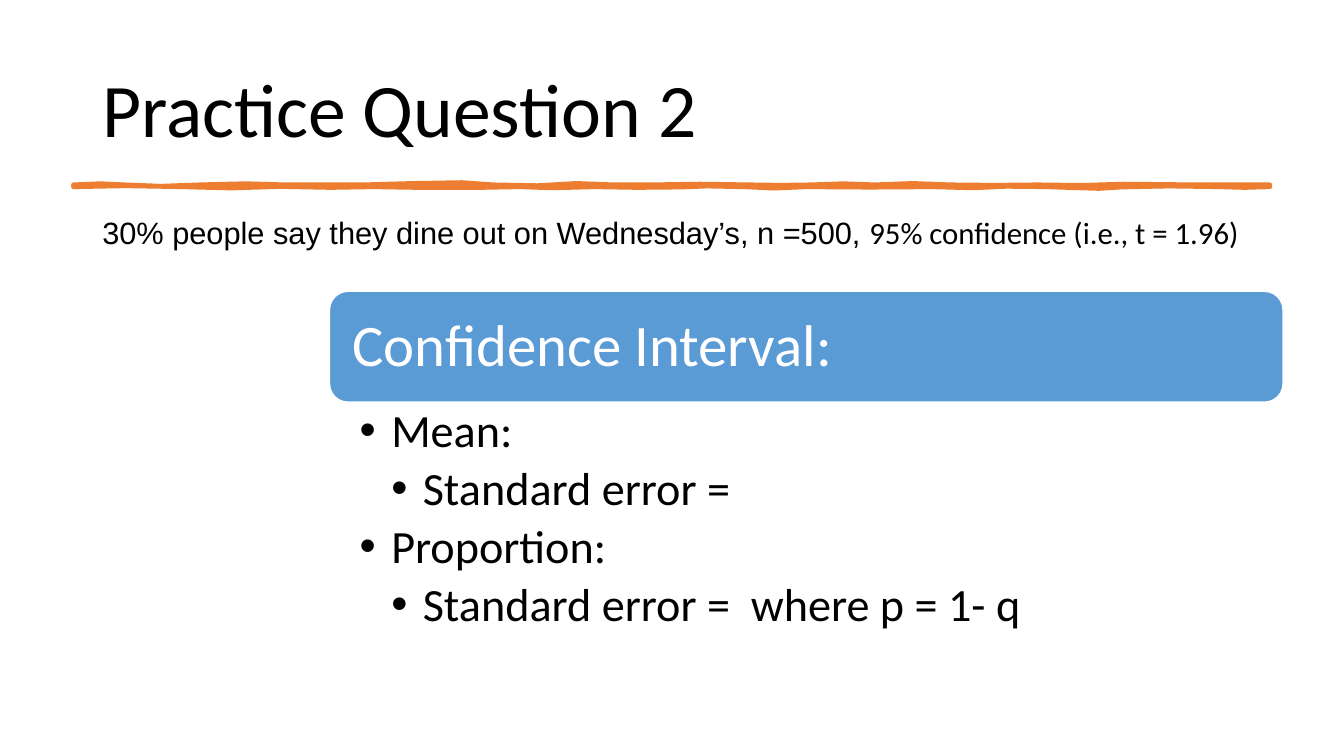
from dataclasses import dataclass

from lxml.etree import SubElement
from pptx import Presentation
from pptx.dml.color import RGBColor
from pptx.enum.shapes import MSO_SHAPE
from pptx.enum.text import MSO_ANCHOR, PP_ALIGN
from pptx.oxml.ns import qn
from pptx.util import Pt


@dataclass(frozen=True)
class Theme:
    black: RGBColor = RGBColor(0x00, 0x00, 0x00)
    white: RGBColor = RGBColor(0xFF, 0xFF, 0xFF)
    orange: RGBColor = RGBColor(0xED, 0x7D, 0x31)
    blue: RGBColor = RGBColor(0x5B, 0x9B, 0xD5)
    heading_font: str = "Calibri"
    question_font: str = "Arial"
    title_size: float = 54
    question_size: float = 22
    banner_size: float = 42
    bullet_size: float = 33


THEME = Theme()
BULLET_INDENT = 22.5

# Edges of the brush stroke: x, then y, in points
STROKE_TOP = [
    (52.5, 132), (72, 131.2), (89, 132), (115, 133), (143, 132), (175, 131.2),
    (204, 132), (260, 132), (295, 131), (330, 130.4), (352, 132), (384, 132.6),
    (412, 131), (438, 132), (465, 132), (500, 131.5), (536, 132), (558, 132.3),
    (580, 132), (602, 131.2), (625, 132), (652, 131), (679, 132), (710, 132.3),
    (741, 132), (772, 132.4), (803, 131.5), (855, 132), (907, 132),
]
STROKE_BOTTOM = [
    (907, 133.5), (889, 134), (871, 133.5), (835, 133), (801, 133.7), (785, 134.7),
    (747, 133.5), (719, 133.2), (695, 134.3), (666, 133.5), (621, 133.8),
    (576, 133.5), (553, 134.5), (531, 133.5), (505, 133), (487, 133.7),
    (455, 134), (425, 133.5), (395, 134.3), (371, 133.5), (343, 134), (320, 134),
    (298, 134), (267, 133.5), (236, 134), (200, 133.3), (165, 134.4),
    (130, 133.5), (90, 132.8), (52.5, 133.5),
]


def add_text_box(slide, left, top, width, height, inset=(7.2, 3.6, 7.2, 3.6),
                 anchor=MSO_ANCHOR.TOP):
    """Add an empty wrapping box; inset is left, top, right, bottom."""
    box = slide.shapes.add_textbox(Pt(left), Pt(top), Pt(width), Pt(height))
    frame = box.text_frame
    frame.word_wrap = True
    frame.vertical_anchor = anchor
    frame.margin_left, frame.margin_top, frame.margin_right, frame.margin_bottom = map(Pt, inset)
    return frame


def format_para(para, space_after=0):
    para.alignment = PP_ALIGN.LEFT
    para.line_spacing = 0.9
    para.space_after = Pt(space_after)


def add_run(para, text, size, color=THEME.black, font=THEME.heading_font):
    span = para.add_run()
    span.text = text
    span.font.size = Pt(size)
    span.font.name = font
    span.font.color.rgb = color


def add_bullet(para, level):
    """Hang a round bullet at the given outline level, counted from 1."""
    para.level = level
    properties = para._p.get_or_add_pPr()
    properties.set("marL", str(Pt(BULLET_INDENT * level)))
    properties.set("indent", str(-Pt(BULLET_INDENT)))
    SubElement(properties, qn("a:buFont")).set("typeface", "Arial")
    SubElement(properties, qn("a:buChar")).set("char", "•")


def paint(shape, fill, line, line_width):
    shape.shadow.inherit = False
    shape.fill.solid()
    shape.fill.fore_color.rgb = fill
    shape.line.color.rgb = line
    shape.line.width = Pt(line_width)


def add_title(slide, text):
    frame = add_text_box(slide, 66, 28.8, 828, 104.4, anchor=MSO_ANCHOR.MIDDLE)
    para = frame.paragraphs[0]
    format_para(para)
    add_run(para, text, THEME.title_size)


def add_brush_stroke(slide):
    start, *edge = [(Pt(x), Pt(y)) for x, y in STROKE_TOP + STROKE_BOTTOM]
    builder = slide.shapes.build_freeform(*start)
    builder.add_line_segments(edge, close=True)
    paint(builder.convert_to_shape(), THEME.orange, THEME.orange, 3.25)


def add_question(slide, facts, confidence):
    frame = add_text_box(slide, 66, 151.9, 828, 334.8, inset=(7.2, 3.6, 0, 3.6))
    para = frame.paragraphs[0]
    format_para(para)
    add_run(para, facts, THEME.question_size, font=THEME.question_font)
    add_run(para, confidence, THEME.question_size)


def add_banner(slide, text):
    banner = slide.shapes.add_shape(
        MSO_SHAPE.ROUNDED_RECTANGLE, Pt(235.4), Pt(208.1), Pt(681.1), Pt(79.2))
    paint(banner, THEME.blue, THEME.white, 1)
    frame = add_text_box(slide, 239, 212.4, 673.9, 71.3, inset=(12.6,) * 4,
                         anchor=MSO_ANCHOR.MIDDLE)
    para = frame.paragraphs[0]
    format_para(para)
    add_run(para, text, THEME.banner_size, THEME.white)


def add_outline(slide, items):
    """Add bulleted lines; each item is a level and its text runs."""
    frame = add_text_box(slide, 235.4, 286.6, 681.1, 205.2, inset=(21.6, 4.2, 23.8, 4.2))
    for index, (level, *texts) in enumerate(items):
        para = frame.add_paragraph() if index else frame.paragraphs[0]
        format_para(para, space_after=5.8)
        add_bullet(para, level)
        for text in texts:
            add_run(para, text, THEME.bullet_size)


def main():
    deck = Presentation()
    deck.slide_width, deck.slide_height = Pt(960), Pt(540)
    page = deck.slides.add_slide(deck.slide_layouts[6])
    add_title(page, "Practice Question 2")
    add_brush_stroke(page)
    add_question(page, "30% people say they dine out on Wednesday’s, n =500, ",
                 "95% confidence (i.e., t = 1.96)")
    add_banner(page, "Confidence Interval:")
    add_outline(page, [
        (1, "Mean:"),
        (2, "Standard error ="),
        (1, "Proportion:"),
        (2, "Standard error = ", " where p = 1- q"),
    ])
    deck.save("out.pptx")


if __name__ == "__main__":
    main()
